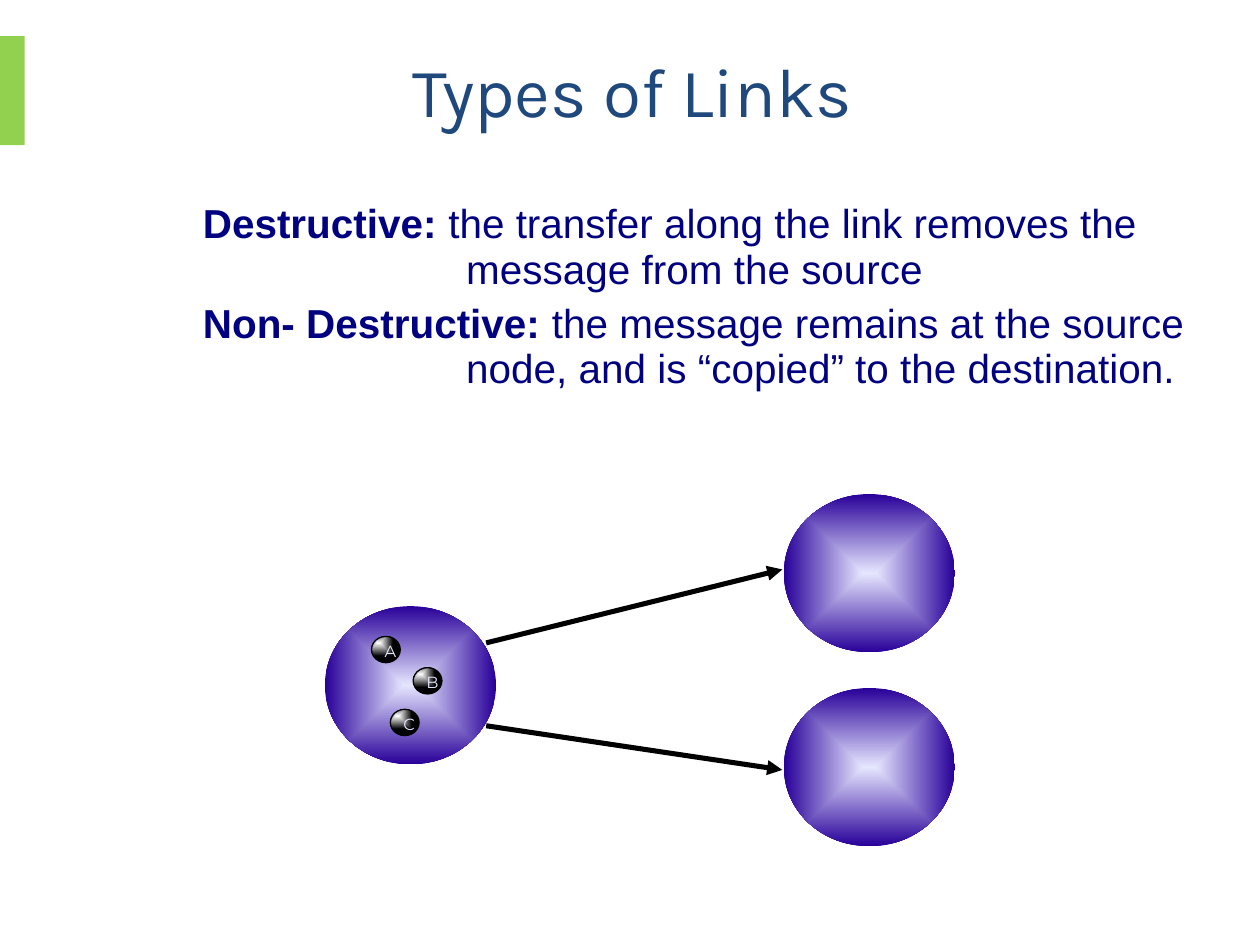
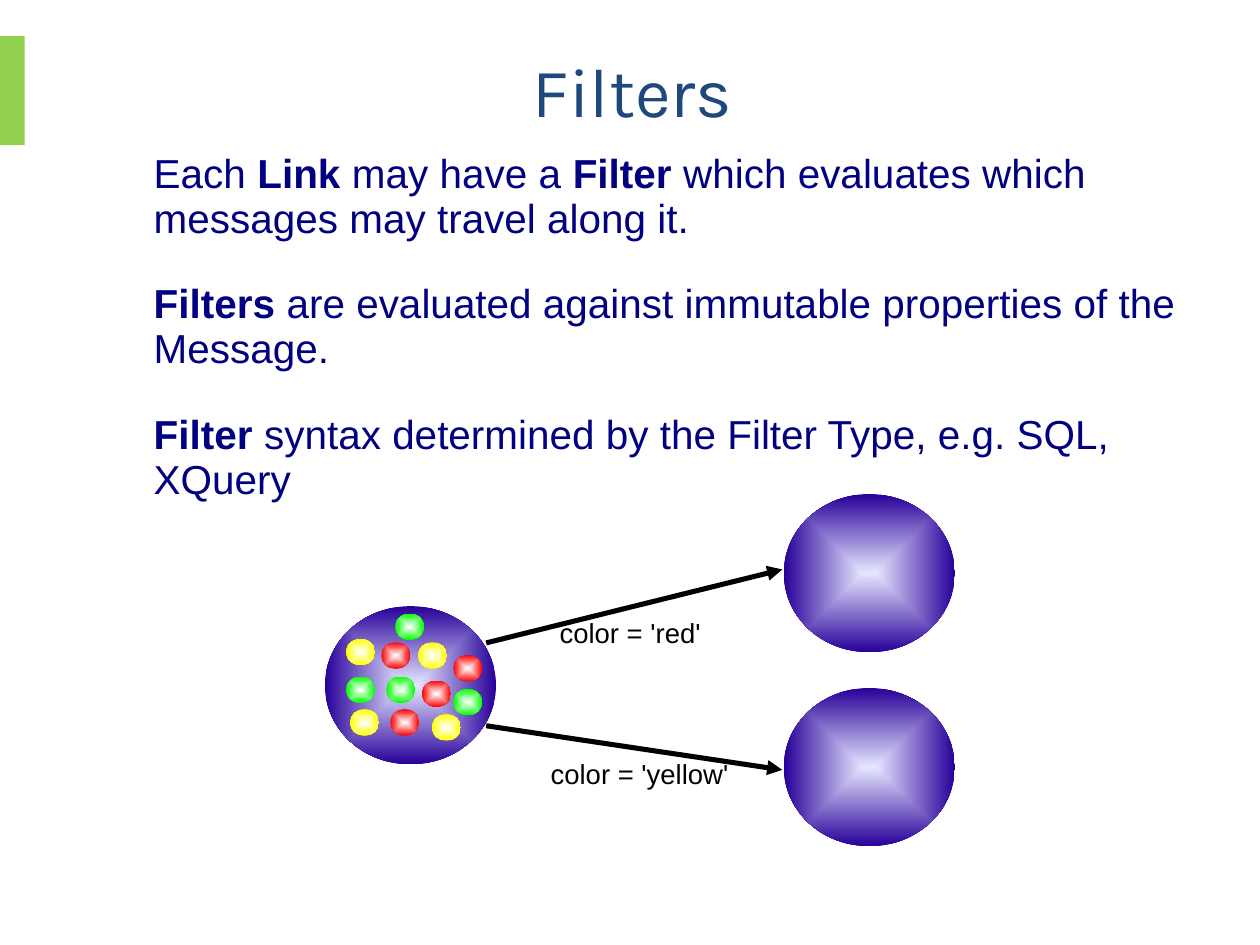
import pptx
import pptx.dml.color
import pptx.enum.shapes
import pptx.enum.text
import pptx.oxml.ns
import pptx.util
from lxml import etree

Cm = pptx.util.Cm
Pt = pptx.util.Pt
RGBColor = pptx.dml.color.RGBColor
MSO_SHAPE = pptx.enum.shapes.MSO_SHAPE
MSO_ANCHOR = pptx.enum.text.MSO_ANCHOR
PP_ALIGN = pptx.enum.text.PP_ALIGN
qn = pptx.oxml.ns.qn

WHITE = RGBColor(0xFF, 0xFF, 0xFF)
BLACK = RGBColor(0x00, 0x00, 0x00)
RED = RGBColor(0xFF, 0x00, 0x00)
GREEN = RGBColor(0x00, 0xFF, 0x00)
YELLOW = RGBColor(0xFF, 0xFF, 0x00)
LIME = RGBColor(0x92, 0xD0, 0x50)
TITLE_BLUE = RGBColor(0x1F, 0x49, 0x7D)
NAVY = RGBColor(0x00, 0x00, 0x80)
LAVENDER = RGBColor(0xE6, 0xE6, 0xFF)
INDIGO = RGBColor(0x28, 0x00, 0x99)

# Lengths in centimetres
NETWORK_BOX = (6.55, 9.96)
NODE_SIZE = (3.45, 3.19)
SOURCE = (0, 2.26)
TARGETS = [(9.25, 0), (9.25, 3.91)]
LINKS = [((3.25, 3.0), (9.22, 1.52)), ((3.25, 4.67), (9.22, 5.56))]
MESSAGE_SIZE = (0.58, 0.53)

LETTERED_MESSAGES = {"A": (0.94, 0.61), "B": (1.78, 1.24), "C": (1.32, 2.08)}
COLORED_MESSAGES = {
    RED: [(1.32, 2.08), (1.14, 0.73), (2.59, 0.99), (1.96, 1.5)],
    GREEN: [(0.43, 1.42), (1.42, 0.15), (2.59, 1.67), (1.24, 1.42)],
    YELLOW: [(1.88, 0.73), (2.16, 2.18), (0.51, 2.08), (0.43, 0.66)],
}
FILTER_LABELS = [("color = 'red'", 4.5, 2.41, 3.4),
                 ("color = 'yellow'", 4.32, 5.26, 4.17)]

# Each paragraph is a list of (text, bold) runs
LINK_TYPES = [
    [("Destructive:", True),
     (" the transfer along the link removes the message from the source", False)],
    [("Non- Destructive:", True),
     (" the message remains at the source node, and is “copied” to the destination.",
      False)],
]
FILTER_RULES = [
    [("Each ", False), ("Link", True), (" may have a ", False), ("Filter", True),
     (" which evaluates which messages may travel along it.", False)],
    [("Filters", True),
     (" are evaluated against immutable properties of the Message.", False)],
    [("Filter ", True),
     ("syntax determined by the Filter Type, e.g. SQL, XQuery", False)],
]


def set_font(p, name, size, color):
    p.font.name = name
    p.font.size = Pt(size)
    p.font.color.rgb = color


def set_frame(tf, wrap):
    tf.word_wrap = wrap
    tf.margin_left = tf.margin_right = Cm(0.23)
    tf.margin_top = tf.margin_bottom = Cm(0.1)


def add_text_box(slide, x, y, w, h, wrap=True):
    tf = slide.shapes.add_textbox(Cm(x), Cm(y), Cm(w), Cm(h)).text_frame
    set_frame(tf, wrap)
    return tf


def add_ball(slide, x, y, size, inner, outer, focus=50):
    """Ellipse shaded from inner at the focus (percent from top left) to outer."""
    w, h = size
    sp = slide.shapes.add_shape(MSO_SHAPE.OVAL, Cm(x), Cm(y), Cm(w), Cm(h))
    sp.shadow.inherit = False
    sp.line.fill.background()
    sp.fill.gradient()
    for stop, color, position in zip(sp.fill.gradient_stops, (inner, outer), (0, 1)):
        stop.color.rgb = color
        stop.position = position
    grad = sp.fill._xPr.find(qn("a:gradFill"))
    lin = grad.find(qn("a:lin"))
    shade = etree.Element(qn("a:path"), path="shape")
    near, far = str(focus * 1000), str((100 - focus) * 1000)
    etree.SubElement(shade, qn("a:fillToRect"), l=near, t=near, r=far, b=far)
    grad.replace(lin, shade)
    return sp


def add_link(slide, x1, y1, x2, y2):
    line = slide.shapes.add_connector(pptx.enum.shapes.MSO_CONNECTOR.STRAIGHT,
                                      Cm(x1), Cm(y1), Cm(x2), Cm(y2))
    line.line.color.rgb = BLACK
    line.line.width = Pt(2.89)
    etree.SubElement(line.line._get_or_add_ln(), qn("a:tailEnd"), type="triangle")
    etree.SubElement(line._element.spPr, qn("a:effectLst"))


def add_network(slide, left, top):
    """Source node linked to two targets; returns the source's position."""
    for x, y in [SOURCE, *TARGETS]:
        add_ball(slide, left + x, top + y, NODE_SIZE, LAVENDER, INDIGO)
    for (x1, y1), (x2, y2) in LINKS:
        add_link(slide, left + x1, top + y1, left + x2, top + y2)
    return left + SOURCE[0], top + SOURCE[1]


def add_lettered_messages(slide, left, top):
    for letter, (x, y) in LETTERED_MESSAGES.items():
        sp = add_ball(slide, left + x, top + y, MESSAGE_SIZE, WHITE, BLACK, focus=25)
        sp.line.color.rgb = BLACK
        sp.line.width = Pt(0.75)
        tf = sp.text_frame
        set_frame(tf, wrap=False)
        tf.vertical_anchor = MSO_ANCHOR.MIDDLE
        p = tf.paragraphs[0]
        p.text = letter
        p.alignment = PP_ALIGN.LEFT
        p.line_spacing = 1.18
        set_font(p, "Montserrat", 9.2, LAVENDER)


def add_colored_messages(slide, left, top):
    for color, places in COLORED_MESSAGES.items():
        for x, y in places:
            add_ball(slide, left + x, top + y, MESSAGE_SIZE, WHITE, color)


def add_filter_labels(slide, left, top):
    for text, x, y, w in FILTER_LABELS:
        p = add_text_box(slide, left + x, top + y, w, 0.81, wrap=False).paragraphs[0]
        p.text = text
        p.line_spacing = 0.93
        set_font(p, "Arial", 15.7, BLACK)


def write_body(p, runs):
    p.line_spacing = 0.93
    p.space_after = Pt(22.9)
    set_font(p, "Arial", 23.1, NAVY)
    for text, bold in runs:
        r = p.add_run()
        r.text = text
        r.font.bold = bold


def add_definitions(slide, left, top, width, pitch):
    """Boxes of hanging-indent text, one below the other."""
    for i, runs in enumerate(LINK_TYPES):
        p = add_text_box(slide, left, top + i * pitch, width, 1.96).paragraphs[0]
        pPr = p._p.get_or_add_pPr()
        pPr.set("marL", str(Cm(5.31)))
        pPr.set("indent", str(-Cm(5.31)))
        write_body(p, runs)


def add_rules(slide, left, top, width, height):
    tf = add_text_box(slide, left, top, width, height)
    for i, runs in enumerate(FILTER_RULES):
        write_body(tf.add_paragraph() if i else tf.paragraphs[0], runs)


def add_titled_slide(prs, title):
    slide = prs.slides.add_slide(prs.slide_layouts[6])
    band = slide.shapes.add_shape(MSO_SHAPE.RECTANGLE, 0, Cm(0.73), Cm(0.5), Cm(2.2))
    band.shadow.inherit = False
    band.fill.solid()
    band.fill.fore_color.rgb = LIME
    band.line.fill.background()
    tf = add_text_box(slide, 2.31, 1.22, 20.88, 1.19)
    tf.vertical_anchor = MSO_ANCHOR.MIDDLE
    p = tf.paragraphs[0]
    p.text = title
    p.alignment = PP_ALIGN.CENTER
    set_font(p, "Karla", 39.6, TITLE_BLUE)
    return slide


def build_link_types(prs):
    slide = add_titled_slide(prs, "Types of Links")
    add_definitions(slide, 3.86, 3.99, 21.31, pitch=2.01)
    source = add_network(slide, *NETWORK_BOX)
    add_lettered_messages(slide, *source)


def build_filters(prs):
    slide = add_titled_slide(prs, "Filters")
    source = add_network(slide, *NETWORK_BOX)
    add_rules(slide, 2.87, 2.97, 21.31, 6.96)
    add_colored_messages(slide, *source)
    add_filter_labels(slide, *NETWORK_BOX)


def main():
    prs = pptx.Presentation()
    prs.slide_width = Cm(25.4)
    prs.slide_height = Cm(19.05)
    build_link_types(prs)
    build_filters(prs)
    prs.save("out.pptx")


if __name__ == "__main__":
    main()
